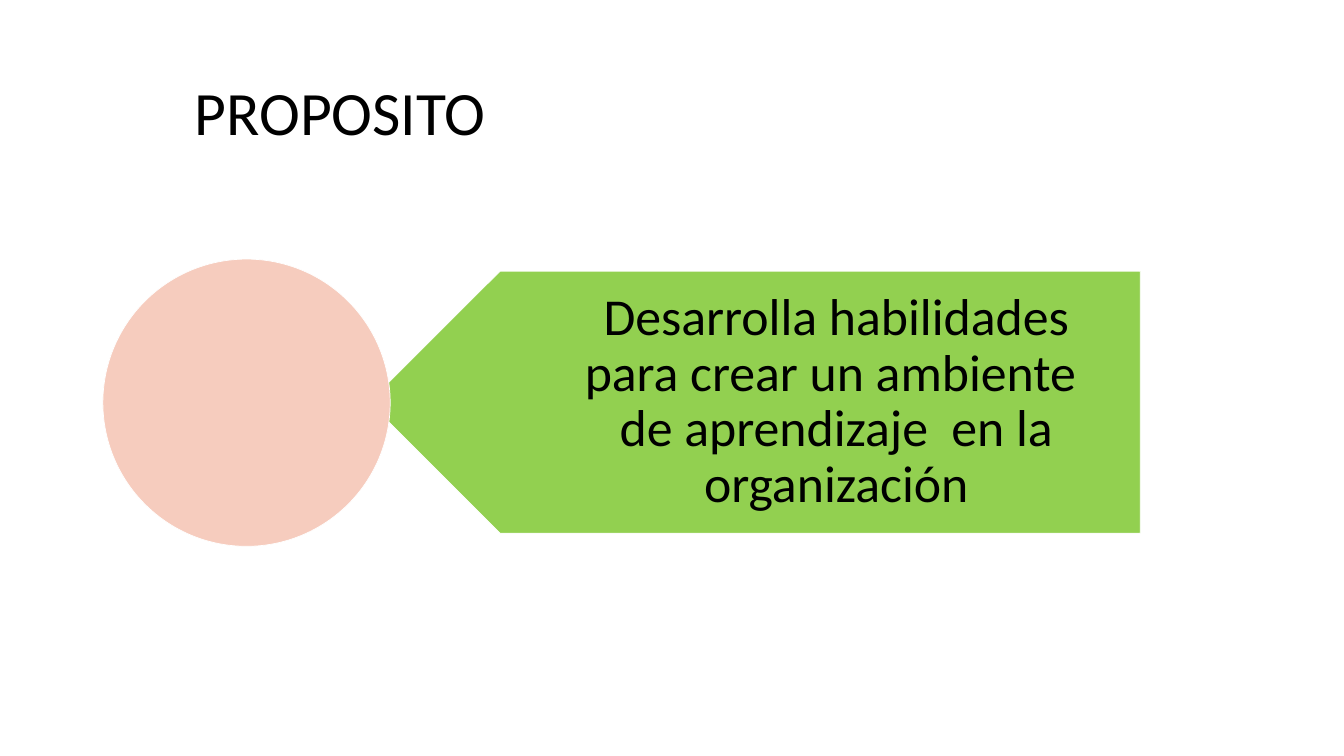
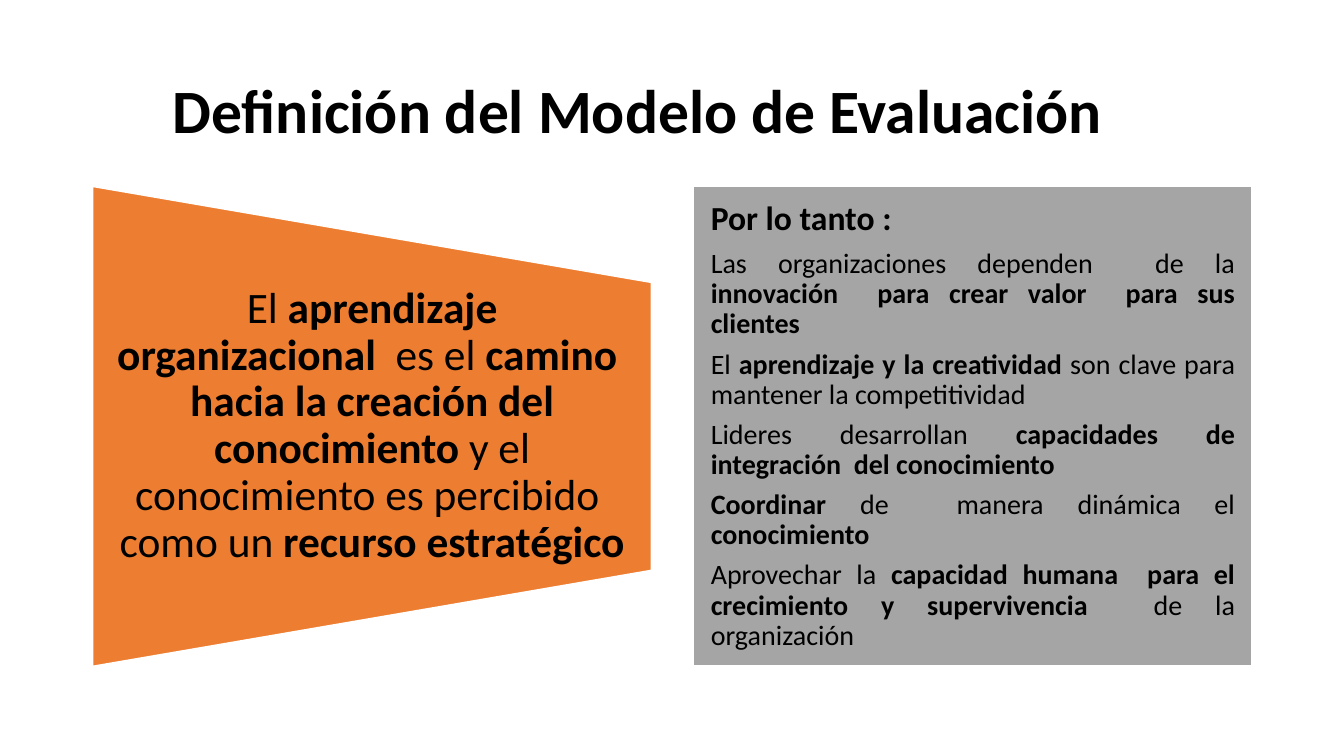
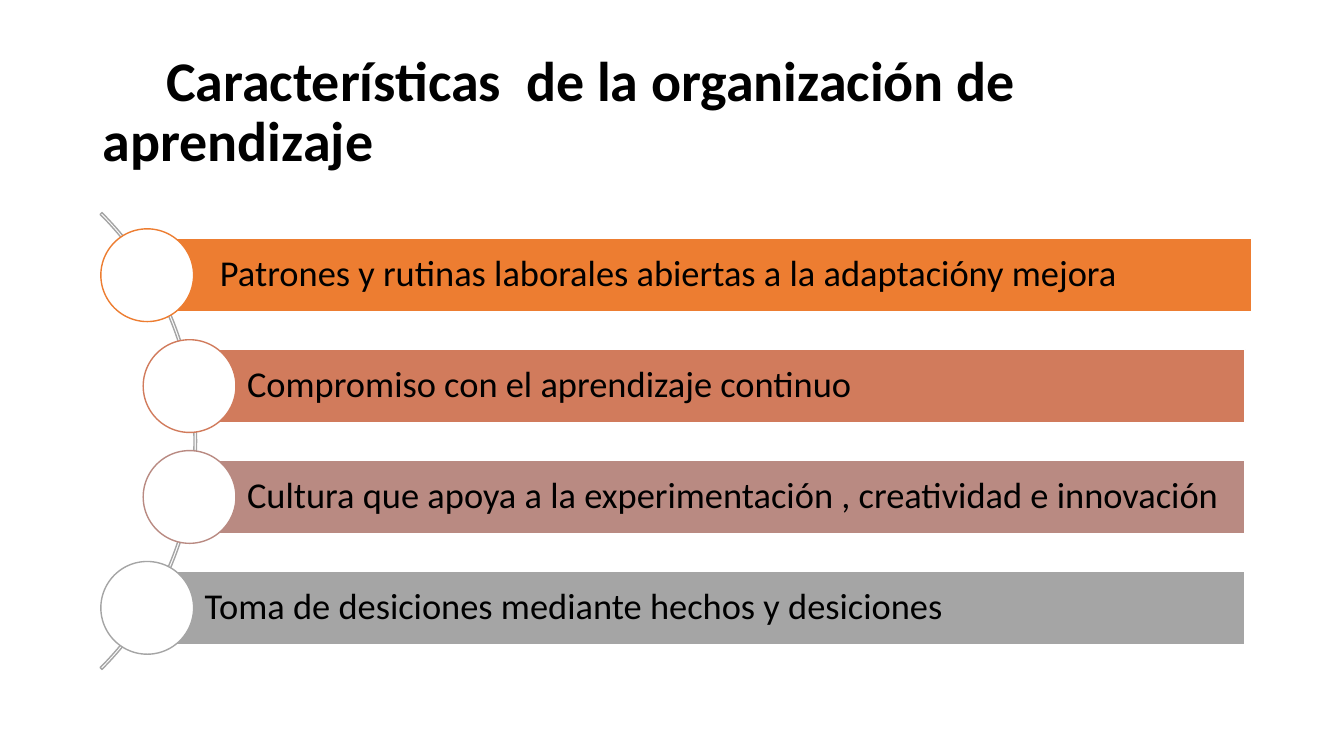
import pptx
import pptx.util
import pptx.dml.color
import pptx.enum.shapes
import pptx.enum.text
from dataclasses import dataclass

Inches = pptx.util.Inches
Pt = pptx.util.Pt
SHAPE = pptx.enum.shapes.MSO_SHAPE
ALIGN = pptx.enum.text.PP_ALIGN

# Content: text between asterisks is bold
PURPOSE_TITLE = "PROPOSITO"
PURPOSE = "Desarrolla habilidades para crear un ambiente  de aprendizaje  en la organización"

MODEL_TITLE = "*Definición del Modelo de Evaluación*"
DEFINITION = ("El *aprendizaje organizacional  *es el *camino  hacia la creación del "
              "conocimiento *y el conocimiento es percibido  como un *recurso estratégico*")
THEREFORE = "*Por lo tanto :*"
CONSEQUENCES = [
    "Las organizaciones dependen  de la *innovación  para crear valor  para sus clientes*",
    "El *aprendizaje y la creatividad *son clave para mantener la competitividad",
    "Lideres desarrollan *capacidades de integración  del conocimiento*",
    "*Coordinar* de  manera dinámica el *conocimiento*",
    "Aprovechar la *capacidad humana  para el crecimiento y supervivencia*  de la organización",
]

FEATURES_TITLE = "*Características  de la organización de aprendizaje*"
# text, colour, circle left, bar shift to the right
FEATURES = [
    (" Patrones y rutinas laborales abiertas a la adaptacióny mejora", "ED7D31", 1.0, 0.07),
    ("Compromiso con el aprendizaje continuo", "D17B5C", 1.42, 0),
    ("Cultura que apoya a la experimentación , creatividad e innovación", "B98A82", 1.42, 0),
    ("Toma de desiciones mediante hechos y desiciones", "A5A5A5", 1.0, 0),
]


@dataclass(frozen=True)
class Theme:
    font: str = "Calibri"
    text: str = "000000"
    white: str = "FFFFFF"
    green: str = "92D050"
    pink: str = "F6CCBE"
    orange: str = "ED7D31"
    gray: str = "A5A5A5"
    title: int = 44
    long_title: int = 40
    purpose: int = 37
    definition: int = 31
    feature: int = 26
    heading: int = 24
    body: int = 20


T = Theme()
TITLE_BOX = (0.92, 0.4, 11.5, 1.45)

prs = pptx.Presentation()
prs.slide_width, prs.slide_height = Inches(13.33), Inches(7.5)


# Shared helpers
def rgb(value):
    return pptx.dml.color.RGBColor.from_string(value)


def add_text(tf, text, size, align=ALIGN.LEFT, after=0.35, indent=0, new=False):
    """Write one paragraph; after is a share of the type size."""
    p = tf.add_paragraph() if new else tf.paragraphs[0]
    p.alignment, p.line_spacing, p.space_after = align, 0.9, Pt(size * after)
    if indent:
        p._p.get_or_add_pPr().set("indent", str(Inches(indent)))
    for i, part in enumerate(text.split("*")):
        if part:
            r = p.add_run()
            r.text = part
            r.font.name, r.font.size, r.font.bold = T.font, Pt(size), i % 2 == 1
            r.font.color.rgb = rgb(T.text)


def set_frame(tf, insets):
    tf.word_wrap = True
    tf.auto_size = pptx.enum.text.MSO_AUTO_SIZE.NONE
    tf.vertical_anchor = pptx.enum.text.MSO_ANCHOR.MIDDLE
    tf.margin_left, tf.margin_top, tf.margin_right, tf.margin_bottom = map(Inches, insets)
    return tf


def add_shape(s, kind, box, fill=None, line=T.white, width=1, rotation=0):
    sp = s.shapes.add_shape(kind, *map(Inches, box))
    sp.shadow.inherit = False
    sp.rotation = rotation
    if fill:
        sp.fill.solid()
        sp.fill.fore_color.rgb = rgb(fill)
    else:
        sp.fill.background()
    sp.line.color.rgb, sp.line.width = rgb(line), Pt(width)
    return sp


def add_box(s, box, insets):
    return set_frame(s.shapes.add_textbox(*map(Inches, box)).text_frame, insets)


def add_slide(title, size=T.title, box=TITLE_BOX, bottom=0.05, indent=0):
    s = prs.slides.add_slide(prs.slide_layouts[5])
    sp = s.shapes.title
    sp.left, sp.top, sp.width, sp.height = map(Inches, box)
    tf = set_frame(sp.text_frame, (0.1, 0.05, 0.1, bottom))
    add_text(tf, title, size, after=0, indent=indent)
    return s


# Slide 1: purpose
s = add_slide(PURPOSE_TITLE, box=(1.83, 0.4, 10.88, 2.21), bottom=0.77)
add_shape(s, SHAPE.PENTAGON, (3.66, 2.69, 7.65, 2.6), T.green, width=0.5, rotation=180)
tf = add_box(s, (4.31, 2.69, 7, 2.6), (1.26, 0.15, 0.29, 0.15))
add_text(tf, PURPOSE, T.purpose, ALIGN.CENTER)
add_shape(s, SHAPE.OVAL, (1.02, 2.57, 2.85, 2.85), T.pink, width=0.5)

# Slide 2: definition and its consequences
s = add_slide(MODEL_TITLE, indent=0.69)
add_shape(s, SHAPE.FLOWCHART_MANUAL_OPERATION, (1.31, 1.46, 4.76, 5.54), T.orange, rotation=270)
tf = add_box(s, (0.92, 2.8, 5.54, 2.86), (0.22, 0, 0.22, 0))
add_text(tf, DEFINITION, T.definition, ALIGN.CENTER)

panel = add_shape(s, SHAPE.RECTANGLE, (6.88, 1.85, 5.54, 4.76), T.gray)
tf = set_frame(panel.text_frame, (0.17, 0, 0.17, 0))
add_text(tf, THEREFORE, T.heading)
for text in CONSEQUENCES:
    add_text(tf, text, T.body, ALIGN.JUSTIFY, new=True)

# Slide 3: features along an arc
s = add_slide(FEATURES_TITLE, T.long_title, indent=0.63)
arc = add_shape(s, SHAPE.BLOCK_ARC, (-4.46, 1.17, 6.41, 6.41), line=T.gray)
for i, value in enumerate((189, 27, 0.004)):
    arc.adjustments[i] = value

CIRCLE, BAR_HEIGHT, BAR_RIGHT = 0.92, 0.73, 12.35
FIRST_TOP, PITCH = 2.27, 1.1
for i, (text, color, left, shift) in enumerate(FEATURES):
    top = FIRST_TOP + i * PITCH
    bar_left = left + 0.45
    bar = add_shape(s, SHAPE.RECTANGLE,
                    (bar_left + shift, top + (CIRCLE - BAR_HEIGHT) / 2,
                     BAR_RIGHT - bar_left, BAR_HEIGHT), color)
    tf = set_frame(bar.text_frame, (0.58, 0.07, 0.07, 0.07))
    add_text(tf, text, T.feature)
    add_shape(s, SHAPE.OVAL, (left, top, CIRCLE, CIRCLE), T.white, line=color)

prs.save("out.pptx")
